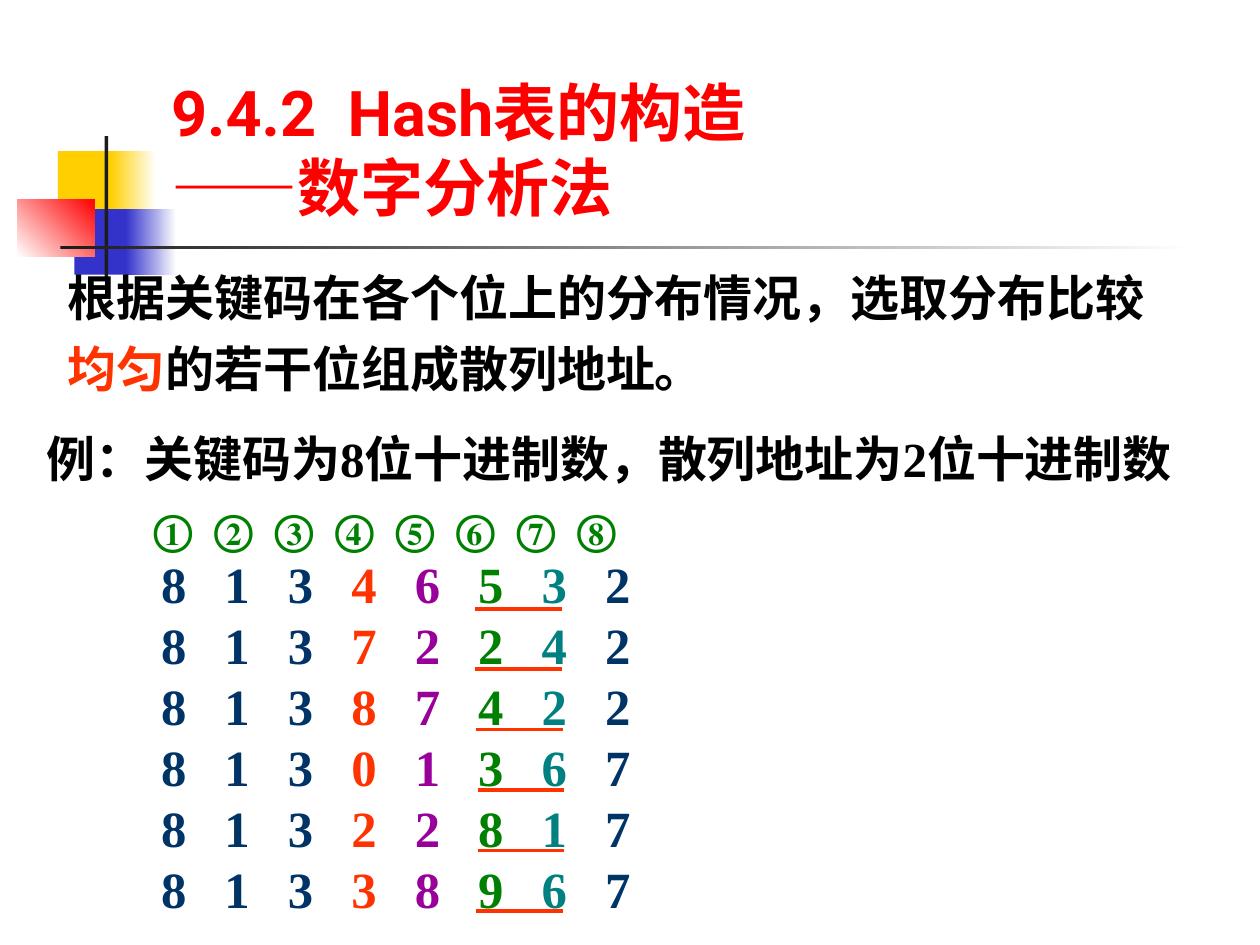
"""Build a slide on hash tables made by digit analysis."""
import dataclasses
import typing

import lxml.etree
import pptx
import pptx.dml.color
import pptx.enum.shapes
import pptx.enum.text
import pptx.oxml.ns
import pptx.util

Inches = pptx.util.Inches


@dataclasses.dataclass(frozen=True)
class Theme:
    white: str = "FFFFFF"
    black: str = "000000"
    dark: str = "1C1C1C"
    gold: str = "FFCF01"
    blue: str = "3333CC"
    red: str = "FF0000"
    navy: str = "003366"
    orange: str = "FF3300"
    purple: str = "990099"
    green: str = "008000"
    teal: str = "008080"
    title: float = 36
    body: float = 28
    digit: float = 29
    mark: float = 24
    rule: float = 2.25
    serif: str = "Times New Roman"
    sans: str = "Roboto"
    dash: str = "Arial"
    han: str = "Noto Sans CJK SC"


THEME = Theme()


class Box(typing.NamedTuple):
    left: float
    top: float
    width: float
    height: float


class Block(typing.NamedTuple):
    box: Box
    start: str
    end: str | None = None
    angle: float = 0


class Run(typing.NamedTuple):
    text: str
    color: str
    font: str = THEME.serif
    asian: str | None = THEME.han


BLOCKS = [
    Block(Box(0.46, 1.2, 0.48, 0.52), THEME.gold),
    Block(Box(0.88, 1.2, 0.36, 0.52), THEME.gold, THEME.white),
    Block(Box(0.59, 1.66, 0.46, 0.52), THEME.blue),
    Block(Box(1, 1.66, 0.4, 0.52), THEME.blue, THEME.white),
    Block(Box(0.14, 1.58, 0.61, 0.46), THEME.white, THEME.red, 45),
    Block(Box(0.83, 1.08, 0.03, 1.15), THEME.dark),
    Block(Box(0.48, 1.95, 9, 0.03), THEME.dark, THEME.white),
]
KEYS = ["81346532", "81372242", "81387422", "81301367", "81322817", "81338967"]
HUES = [THEME.navy] * 3 + [THEME.orange, THEME.purple, THEME.green, THEME.teal, THEME.navy]
MARKS = "①②③④⑤⑥⑦⑧"
SHIFTS = [0, 0, 0.01, 0.02, 0.02, 0.01]


def rgb(code: str) -> pptx.dml.color.RGBColor:
    return pptx.dml.color.RGBColor.from_string(code)


def draw_block(slide, block: Block) -> None:
    shape = slide.shapes.add_shape(
        pptx.enum.shapes.MSO_SHAPE.RECTANGLE, *map(Inches, block.box))
    shape.shadow.inherit = False
    shape.line.fill.background()
    if block.end is None:
        shape.fill.solid()
        shape.fill.fore_color.rgb = rgb(block.start)
        return
    shape.fill.gradient()
    shape.fill.gradient_angle = block.angle
    for stop, code in zip(shape.fill.gradient_stops, (block.start, block.end)):
        stop.color.rgb = rgb(code)


def set_tabs(para, stops: list[float]) -> None:
    props = para._p.get_or_add_pPr()
    tabs = lxml.etree.SubElement(props, pptx.oxml.ns.qn("a:tabLst"))
    for stop in stops:
        lxml.etree.SubElement(
            tabs, pptx.oxml.ns.qn("a:tab"), pos=str(Inches(stop)), algn="l")


def add_text(slide, box: Box, lines: list[list[Run]], *, size: float,
             stops: list[float] | None = None, space: float | None = None,
             low: bool = False) -> None:
    frame = slide.shapes.add_textbox(*map(Inches, box)).text_frame
    frame.word_wrap = True
    if low:
        frame.vertical_anchor = pptx.enum.text.MSO_ANCHOR.BOTTOM
    for index, line in enumerate(lines):
        para = frame.add_paragraph() if index else frame.paragraphs[0]
        if stops:
            set_tabs(para, stops)
        if space:
            para.line_spacing = space
        for part in line:
            run = para.add_run()
            run.text = part.text
            run.font.size = pptx.util.Pt(size)
            run.font.bold = True
            run.font.name = part.font
            run.font.color.rgb = rgb(part.color)
            if part.asian:
                lxml.etree.SubElement(
                    run._r.get_or_add_rPr(), pptx.oxml.ns.qn("a:ea"),
                    typeface=part.asian)


def draw_rule(slide, left: float, top: float, width: float) -> None:
    rule = slide.shapes.add_connector(
        pptx.enum.shapes.MSO_CONNECTOR.STRAIGHT,
        Inches(left), Inches(top), Inches(left + width), Inches(top))
    rule.line.color.rgb = rgb(THEME.orange)
    rule.line.width = pptx.util.Pt(THEME.rule)
    lxml.etree.SubElement(rule._element.spPr, pptx.oxml.ns.qn("a:effectLst"))


def key_line(key: str) -> list[Run]:
    return [Run(("\t" if spot else "") + digit, hue)
            for spot, (digit, hue) in enumerate(zip(key, HUES))]


def grid(pitch: float) -> list[float]:
    return [pitch * step for step in range(1, len(MARKS))]


def main() -> None:
    deck = pptx.Presentation()
    deck.slide_width, deck.slide_height = Inches(10), Inches(7.5)
    slide = deck.slides.add_slide(deck.slide_layouts[6])
    for block in BLOCKS:
        draw_block(slide, block)
    add_text(slide, Box(0.44, 1.98, 9.06, 1.22), [[
        Run("根据关键码在各个位上的分布情况，选取分布比较", THEME.black),
        Run("均匀", THEME.orange),
        Run("的若干位组", THEME.black),
        Run("成散列地址。", THEME.black, THEME.han),
    ]], size=THEME.body, space=1.2)
    add_text(slide, Box(0.27, 3.35, 9.65, 0.57), [[
        Run("例：关键码为8位十进制数，散列地址为2位十进制数", THEME.black),
    ]], size=THEME.body)
    add_text(slide, Box(1.18, 4.34, 4.03, 3), [key_line(key) for key in KEYS],
             size=THEME.digit, stops=grid(1.25 * THEME.digit / 72))
    add_text(slide, Box(1.12, 3.95, 4.03, 0.5),
             [[Run("\t".join(MARKS), THEME.green, asian=None)]],
             size=THEME.mark, stops=grid(0.48))
    for row, shift in enumerate(SHIFTS):
        draw_rule(slide, 3.77 + shift, 4.83 + 0.48 * row, 0.69)
    add_text(slide, Box(1.26, 0.23, 8.52, 1.6), [
        [Run("9.4.2\tHash表的构造", THEME.red, THEME.sans)],
        [Run("——", THEME.red, THEME.dash, None),
         Run("数字分析法", THEME.red, THEME.sans)],
    ], size=THEME.title, stops=[1.4], low=True)
    deck.save("out.pptx")


if __name__ == "__main__":
    main()
